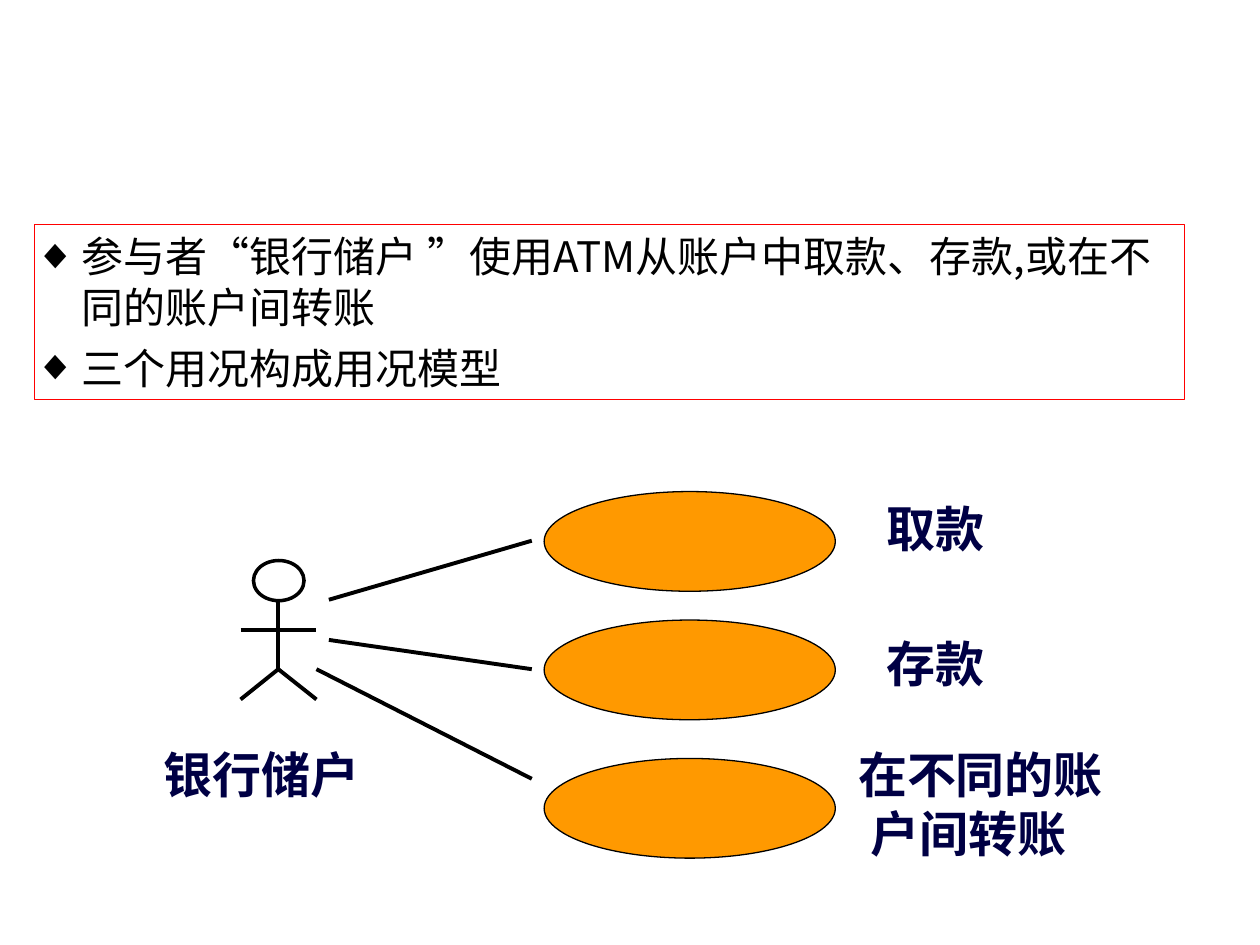
import pptx
import pptx.dml.color
import pptx.enum.shapes
import pptx.enum.text
import pptx.oxml.ns
import pptx.util
from lxml import etree

Cm, Pt = pptx.util.Cm, pptx.util.Pt
RGBColor = pptx.dml.color.RGBColor
MSO_SHAPE = pptx.enum.shapes.MSO_SHAPE
qn = pptx.oxml.ns.qn

BLACK = RGBColor(0x00, 0x00, 0x00)
WHITE = RGBColor(0xFF, 0xFF, 0xFF)
RED = RGBColor(0xFF, 0x00, 0x00)
ORANGE = RGBColor(0xFF, 0x99, 0x00)
NAVY = RGBColor(0x00, 0x00, 0x44)
BODY_FONT = "Noto Sans CJK SC"
LABEL_FONT = "Times New Roman"


def prepare_frame(tf):
    """Wrap the text, keep the box size and drop the side margins."""
    tf.word_wrap = True
    tf.auto_size = pptx.enum.text.MSO_AUTO_SIZE.NONE
    tf.margin_left = tf.margin_right = 0
    tf.margin_top = tf.margin_bottom = Cm(0.13)


def format_run(r, name, size, color, bold):
    r.font.name, r.font.size, r.font.bold = name, Pt(size), bold
    r.font.color.rgb = color
    etree.SubElement(r.font._element, qn("a:ea"), typeface=BODY_FONT)


prs = pptx.Presentation()
prs.slide_width, prs.slide_height = Cm(25.4), Cm(19.05)
s = prs.slides.add_slide(prs.slide_layouts[1])
title = s.shapes.title
title.element.getparent().remove(title.element)

# Description
body = s.placeholders[1]
body.left, body.top, body.width, body.height = Cm(0.69), Cm(4.52), Cm(23.19), Cm(3.53)
body.fill.solid()
body.fill.fore_color.rgb = WHITE
body.line.color.rgb = RED
body.line.width = Pt(0.75)
tf = body.text_frame
tf.text = "参与者“银行储户 ”使用ATM从账户中取款、存款,或在不同的账户间转账\n三个用况构成用况模型"
prepare_frame(tf)
for i, p in enumerate(tf.paragraphs):
    p.space_before = Pt(6 if i else 0)
    pPr = p._p.get_or_add_pPr()
    pPr.set("marL", str(Cm(0.96)))
    pPr.set("indent", str(-Cm(0.96)))
    color = etree.SubElement(pPr, qn("a:buClr"))
    etree.SubElement(color, qn("a:srgbClr"), val=str(BLACK))
    etree.SubElement(pPr, qn("a:buChar"), char="◆")
    format_run(p.runs[0], BODY_FONT, 24, BLACK, False)

# Use cases and the actor's head: top, left, width, height, fill, line width
ovals = [(10.97, y, 5.87, 2.01, ORANGE, 0.75) for y in (9.91, 12.5, 15.29)]
ovals.append((5.11, 11.3, 1.02, 0.81, None, 2))
for x, y, w, h, fill, line_width in ovals:
    sp = s.shapes.add_shape(MSO_SHAPE.OVAL, Cm(x), Cm(y), Cm(w), Cm(h))
    sp.shadow.inherit = False
    if fill is None:
        sp.fill.background()
    else:
        sp.fill.solid()
        sp.fill.fore_color.rgb = fill
    sp.line.color.rgb = BLACK
    sp.line.width = Pt(line_width)

# Actor's limbs, then associations
lines = [
    (4.85, 12.7, 6.38, 12.7),
    (5.61, 12.09, 5.61, 13.49),
    (4.85, 14.1, 5.61, 13.49),
    (6.38, 14.1, 5.61, 13.49),
    (6.63, 12.09, 10.72, 10.9),
    (6.63, 12.9, 10.72, 13.49),
    (6.38, 13.49, 10.72, 15.7),
]
for points in lines:
    line = s.shapes.add_connector(
        pptx.enum.shapes.MSO_CONNECTOR.STRAIGHT, *[Cm(v) for v in points])
    line.line.color.rgb = BLACK
    line.line.width = Pt(2.25)
    etree.SubElement(line._element.spPr, qn("a:effectLst"))

# Labels
labels = [
    ("取款", 17.88, 9.91, 2.24, 1.45),
    ("存款", 17.88, 12.65, 2.24, 1.45),
    ("在不同的账\n户间转账", 17.3, 14.88, 5.21, 2.64),
    ("银行储户", 3.3, 14.88, 4.01, 1.45),
]
for text, x, y, w, h in labels:
    tf = s.shapes.add_textbox(Cm(x), Cm(y), Cm(w), Cm(h)).text_frame
    tf.text = text
    prepare_frame(tf)
    for i, p in enumerate(tf.paragraphs):
        if i:
            p._p.get_or_add_pPr().set("marL", str(Cm(0.25)))
        format_run(p.runs[0], LABEL_FONT, 28, NAVY, True)

prs.save("out.pptx")
